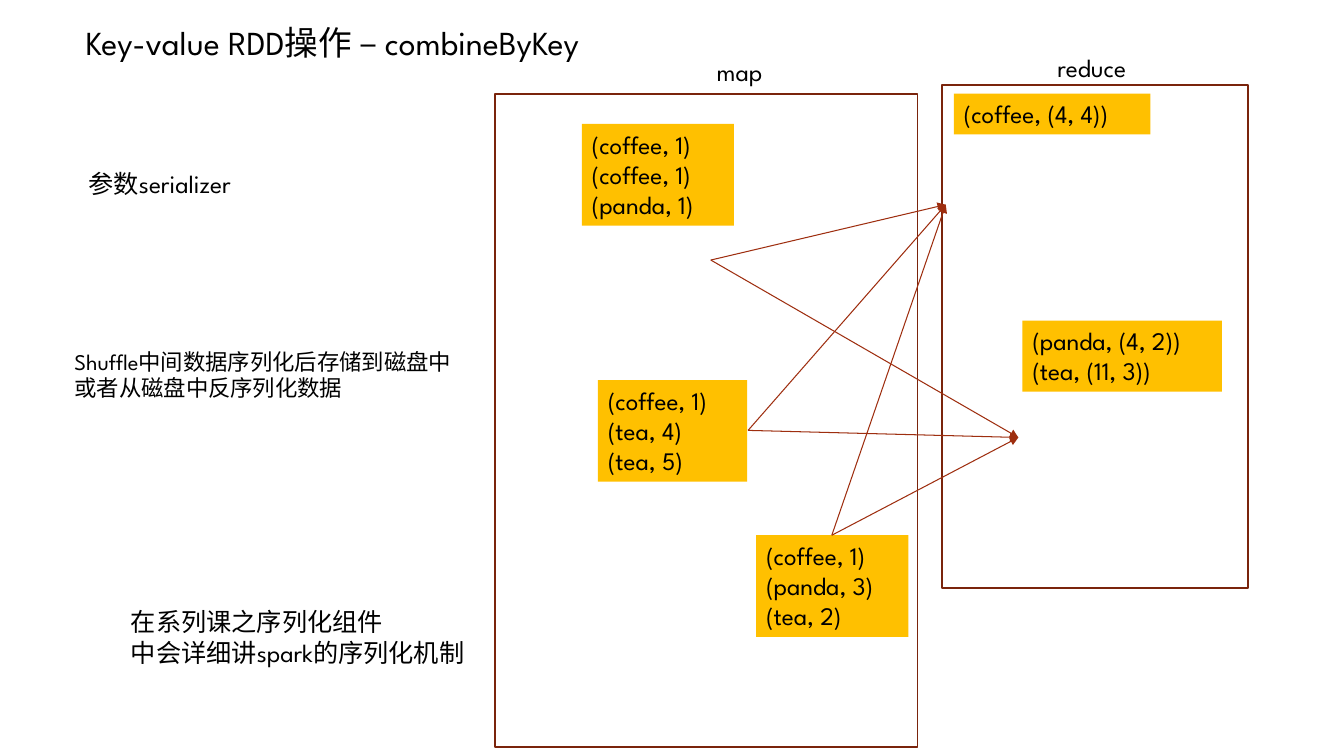
from lxml import etree
from pptx import Presentation
from pptx import util as u
from pptx.dml.color import RGBColor
from pptx.enum import shapes, text
from pptx.oxml.ns import qn

FONT = "League Spartan"
BLACK, AMBER, BROWN, RUST = "000000", "FFC000", "7A240C", "9E2E0F"


def color(hex_string):
    return RGBColor.from_string(hex_string)


def write(shape, lines, size=18):
    frame = shape.text_frame
    frame.word_wrap = True
    frame.vertical_anchor = text.MSO_ANCHOR.TOP
    frame.text = "\n".join(lines)
    for paragraph in frame.paragraphs:
        paragraph.alignment = text.PP_ALIGN.LEFT
        paragraph.font.size = u.Pt(size)
        paragraph.font.name = FONT
        paragraph.font.color.rgb = color(BLACK)


def add_label(slide, box, lines, size=18):
    write(slide.shapes.add_textbox(*map(u.Inches, box)), lines, size)


def add_rectangle(slide, box):
    shape = slide.shapes.add_shape(shapes.MSO_SHAPE.RECTANGLE, *map(u.Inches, box))
    shape.shadow.inherit = False
    return shape


def add_records(slide, left, top, width, lines):
    """Place an amber block whose height follows its number of lines."""
    shape = add_rectangle(slide, (left, top, width, 0.1 + 0.303 * len(lines)))
    shape.fill.solid()
    shape.fill.fore_color.rgb = color(AMBER)
    shape.line.fill.background()
    write(shape, lines)


def add_arrow(slide, start, end):
    points = map(u.Inches, (*start, *end))
    arrow = slide.shapes.add_connector(shapes.MSO_CONNECTOR.STRAIGHT, *points)
    arrow.line.color.rgb = color(RUST)
    arrow.line.width = u.Pt(0.75)
    etree.SubElement(arrow.line._get_or_add_ln(), qn("a:tailEnd"), type="triangle")
    etree.SubElement(arrow._element.spPr, qn("a:effectLst"))


def add_stage(slide, box, name, name_box, records):
    """Frame one stage; record positions are offsets from the frame's corner."""
    left, top = box[:2]
    for dx, dy, width, lines in records:
        add_records(slide, left + dx, top + dy, width, lines)
    frame = add_rectangle(slide, box)
    frame.fill.background()
    frame.line.color.rgb = color(BROWN)
    frame.line.width = u.Pt(1.25)
    dx, dy, width = name_box
    add_label(slide, (left + dx, top + dy, width, 0.4), [name])


def add_shuffle(slide, sources, targets):
    for target in targets:
        for source in sources:
            add_arrow(slide, source, target)


def add_notes_column(slide):
    add_label(slide, (0.78, 1.62, 1.72, 0.4), ["参数serializer"])
    add_label(slide, (0.64, 3.4, 4.06, 0.64),
              ["Shuffle中间数据序列化后存储到磁盘中", "或者从磁盘中反序列化数据"], 16)
    add_label(slide, (1.2, 5.97, 3.62, 0.71),
              ["在系列课之序列化组件", "中会详细讲spark的序列化机制"])


def main():
    presentation = Presentation()
    presentation.slide_width = u.Inches(13.33)
    presentation.slide_height = u.Inches(7.5)
    slide = presentation.slides.add_slide(presentation.slide_layouts[6])
    add_label(slide, (0.75, 0.17, 6.09, 0.5), ["Key-value RDD操作 – combineByKey"], 24)
    add_notes_column(slide)
    add_stage(slide, (4.91, 0.93, 4.19, 6.48), "map", (2.1, -0.42, 0.78), [
        (0.86, 0.3, 1.51, ["(coffee, 1)", "(coffee, 1)", "(panda, 1)"]),
        (1.02, 2.84, 1.48, ["(coffee, 1)", "(tea, 4)", "(tea, 5)"]),
        (2.59, 4.38, 1.51, ["(coffee, 1)", "(panda, 3)", "(tea, 2)"]),
    ])
    add_stage(slide, (9.34, 0.84, 3.04, 4.99), "reduce", (1.05, -0.37, 1.1), [
        (0.12, 0.09, 1.95, ["(coffee, (4, 4))"]),
        (0.8, 2.34, 1.98, ["(panda, (4, 2))", "(tea, (11, 3))"]),
    ])
    add_shuffle(slide, sources=[(7.05, 2.58), (7.42, 4.27), (8.25, 5.31)],
                targets=[(9.38, 2.03), (10.1, 4.34)])
    presentation.save("out.pptx")


if __name__ == "__main__":
    main()
